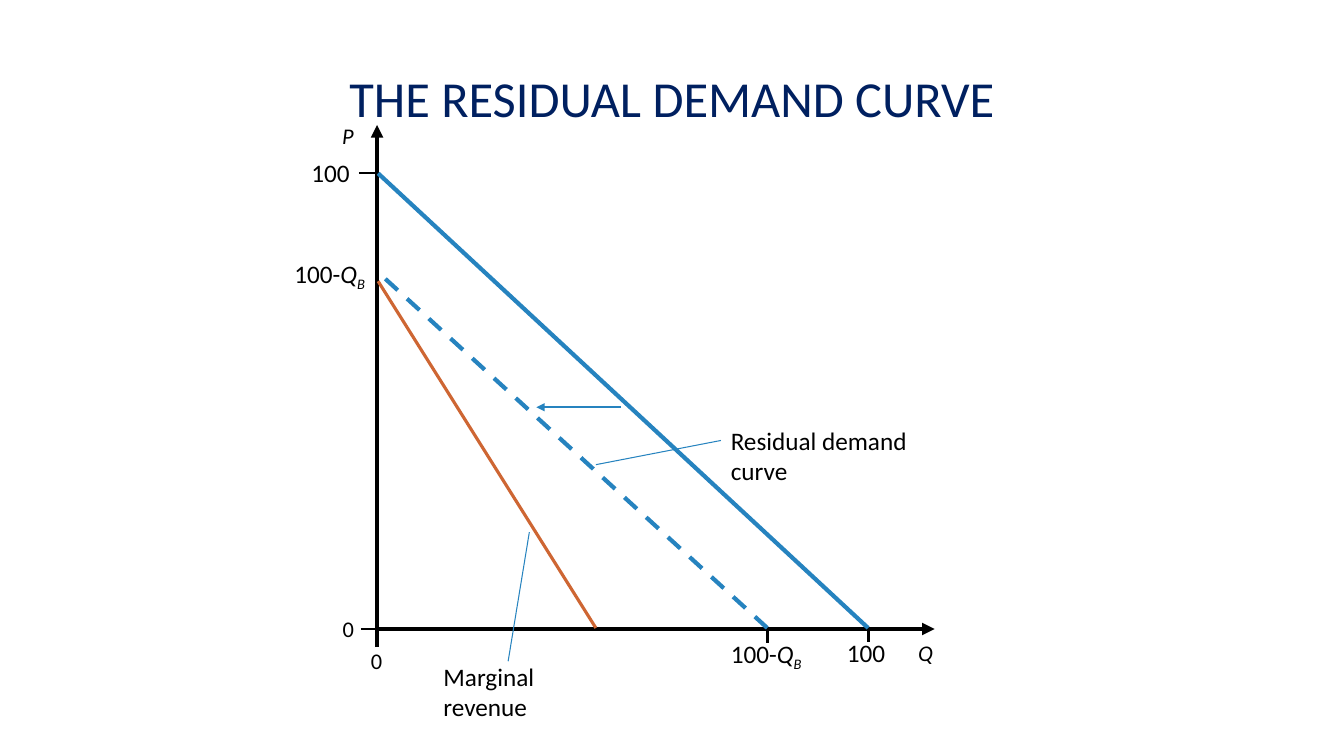
from dataclasses import dataclass

import pptx
import pptx.dml.color
import pptx.enum.dml
import pptx.enum.shapes
import pptx.enum.text
import pptx.oxml.ns
import pptx.util
from lxml import etree
from pptx.util import Inches

FONT = "Calibri"
BLACK, NAVY, BLUE, ORANGE = "000000", "002060", "2683BF", "CE6633"

# Key positions on the graph
AXIS_X, AXIS_Y = 3.74, 6.24
FULL_X, FULL_Y = 8.61, 1.72
RESIDUAL_X = 7.61
CURVE_END_Y = 6.23


@dataclass
class Line:
    start: tuple[float, float]
    end: tuple[float, float]
    colour: str
    width: float
    arrow: bool = False
    dashed: bool = False


@dataclass
class Span:
    text: str
    italic: bool = False
    subscript: bool = False


@dataclass
class Label:
    left: float
    top: float
    width: float
    spans: list[Span]
    size: int = 18
    centred: bool = False


RESIDUAL_QUANTITY = [Span("100-"), Span("Q", italic=True),
                     Span("B", italic=True, subscript=True)]

LINES = [
    # Axes
    Line((AXIS_X, 6.42), (AXIS_X, 1.24), BLACK, 3, arrow=True),
    Line((3.72, AXIS_Y), (9.27, AXIS_Y), BLACK, 3, arrow=True),
    # Ticks
    Line((3.58, AXIS_Y), (3.76, AXIS_Y), BLACK, 1.5),
    Line((3.56, FULL_Y), (AXIS_X, FULL_Y), BLACK, 1.5),
    Line((FULL_X, CURVE_END_Y), (FULL_X, 6.37), BLACK, 2),
    Line((RESIDUAL_X, AXIS_Y), (RESIDUAL_X, 6.38), BLACK, 2),
    # Demand, residual demand and marginal revenue
    Line((FULL_X, CURVE_END_Y), (3.75, FULL_Y), BLUE, 3),
    Line((RESIDUAL_X, CURVE_END_Y), (3.76, 2.71), BLUE, 3, dashed=True),
    Line((3.75, 2.79), (5.91, CURVE_END_Y), ORANGE, 2.25),
    # Shift arrow and leaders
    Line((6.16, 4.04), (5.32, 4.04), BLUE, 1.5, arrow=True),
    Line((7.15, 4.37), (5.91, 4.61), BLUE, 0.75),
    Line((5.25, 5.28), (5.04, 6.56), BLUE, 0.75),
]

LABELS = [
    # Price axis
    Label(3.19, 1.16, 0.52, [Span("P", italic=True)], 16, centred=True),
    Label(2.99, 1.51, 0.62, [Span("100")]),
    Label(2.82, 2.51, 0.99, RESIDUAL_QUANTITY),
    Label(3.3, 6.05, 0.28, [Span("0")], 16),
    # Quantity axis
    Label(3.58, 6.37, 0.43, [Span("0")], 16),
    Label(7.15, 6.28, 0.99, RESIDUAL_QUANTITY),
    Label(8.3, 6.27, 0.62, [Span("100")]),
    Label(8.92, 6.29, 0.52, [Span("Q", italic=True)], 16, centred=True),
    # Curve names
    Label(7.15, 4.17, 2.5, [Span("Residual demand curve")]),
    Label(4.3, 6.51, 1.9, [Span("Marginal revenue")]),
]


def paint(colour_format, colour: str) -> None:
    colour_format.rgb = pptx.dml.color.RGBColor.from_string(colour)


def style_font(font, size: float, colour: str) -> None:
    font.name = FONT
    font.size = pptx.util.Pt(size)
    paint(font.color, colour)


def draw_line(slide, line: Line) -> None:
    connector = slide.shapes.add_connector(
        pptx.enum.shapes.MSO_CONNECTOR.STRAIGHT,
        *map(Inches, line.start + line.end))
    paint(connector.line.color, line.colour)
    connector.line.width = pptx.util.Pt(line.width)
    if line.dashed:
        connector.line.dash_style = pptx.enum.dml.MSO_LINE.DASH
    if line.arrow:
        etree.SubElement(connector.line._get_or_add_ln(),
                         pptx.oxml.ns.qn("a:tailEnd"), type="triangle")
    etree.SubElement(connector._element.spPr, pptx.oxml.ns.qn("a:effectLst"))


def draw_label(slide, label: Label) -> None:
    height = 0.4 if label.size == 18 else 0.37
    box = slide.shapes.add_textbox(
        *map(Inches, (label.left, label.top, label.width, height)))
    frame = box.text_frame
    frame.word_wrap = True
    frame.auto_size = pptx.enum.text.MSO_AUTO_SIZE.SHAPE_TO_FIT_TEXT
    para = frame.paragraphs[0]
    if label.centred:
        para.alignment = pptx.enum.text.PP_ALIGN.CENTER
    for span in label.spans:
        run = para.add_run()
        run.text = span.text
        style_font(run.font, label.size, BLACK)
        if span.italic:
            run.font.italic = True
        if span.subscript:
            run.font._element.set("baseline", "-25000")


def set_title(slide, text: str) -> None:
    title = slide.shapes.title
    title.left, title.top, title.width, title.height = map(
        Inches, (1, 0.68, 11.33, 1.75))
    frame = title.text_frame
    frame.text = text
    frame.word_wrap = True
    frame.auto_size = pptx.enum.text.MSO_AUTO_SIZE.NONE
    frame.vertical_anchor = pptx.enum.text.MSO_ANCHOR.TOP
    para = frame.paragraphs[0]
    para.alignment = pptx.enum.text.PP_ALIGN.CENTER
    para.line_spacing = 0.9
    style_font(para.runs[0].font, 36, NAVY)


def main() -> None:
    deck = pptx.Presentation()
    deck.slide_width, deck.slide_height = Inches(13.33), Inches(7.5)
    slide = deck.slides.add_slide(deck.slide_layouts.get_by_name("Title Only"))
    set_title(slide, "THE RESIDUAL DEMAND CURVE")
    for line in LINES:
        draw_line(slide, line)
    for label in LABELS:
        draw_label(slide, label)
    deck.save("out.pptx")


if __name__ == "__main__":
    main()
